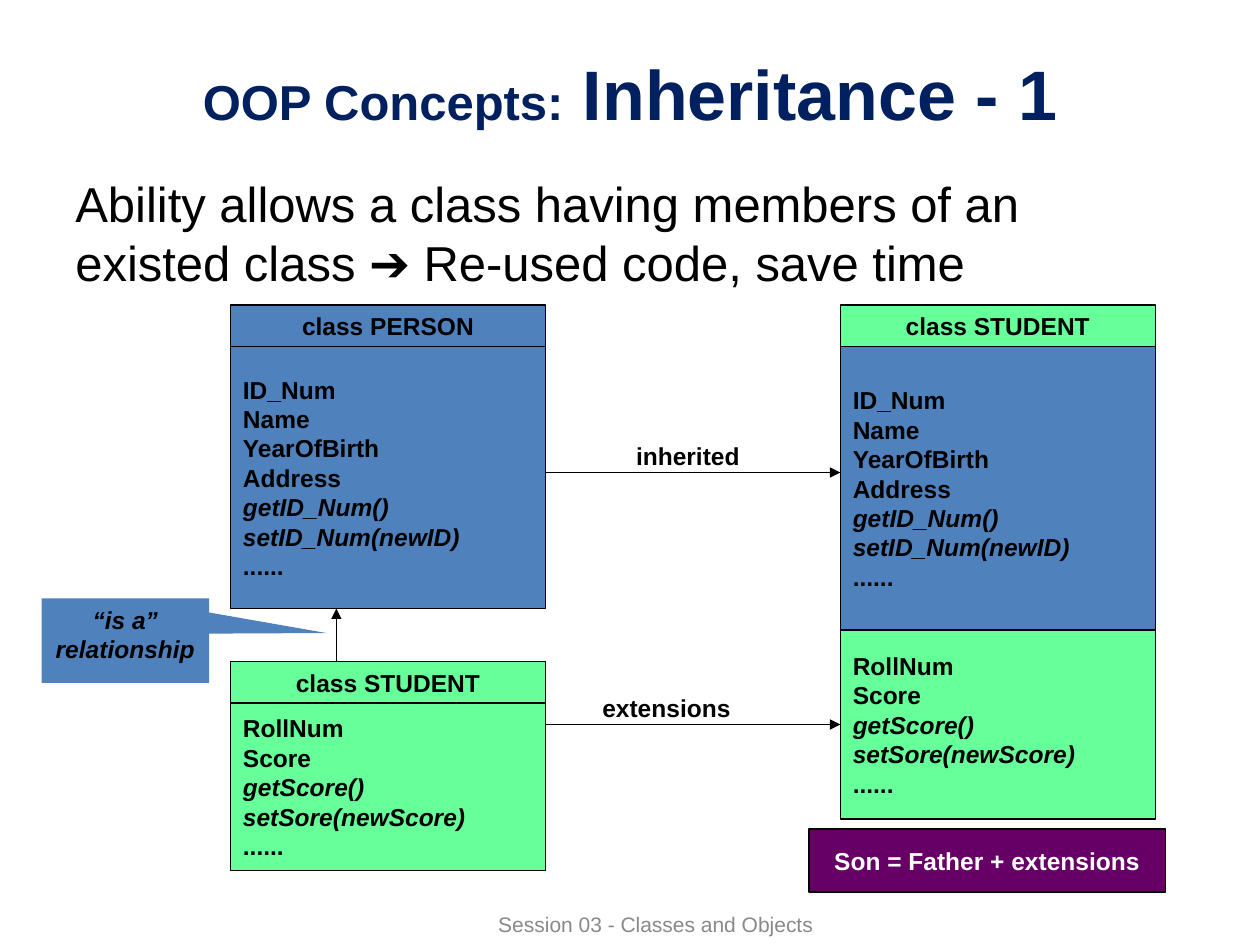
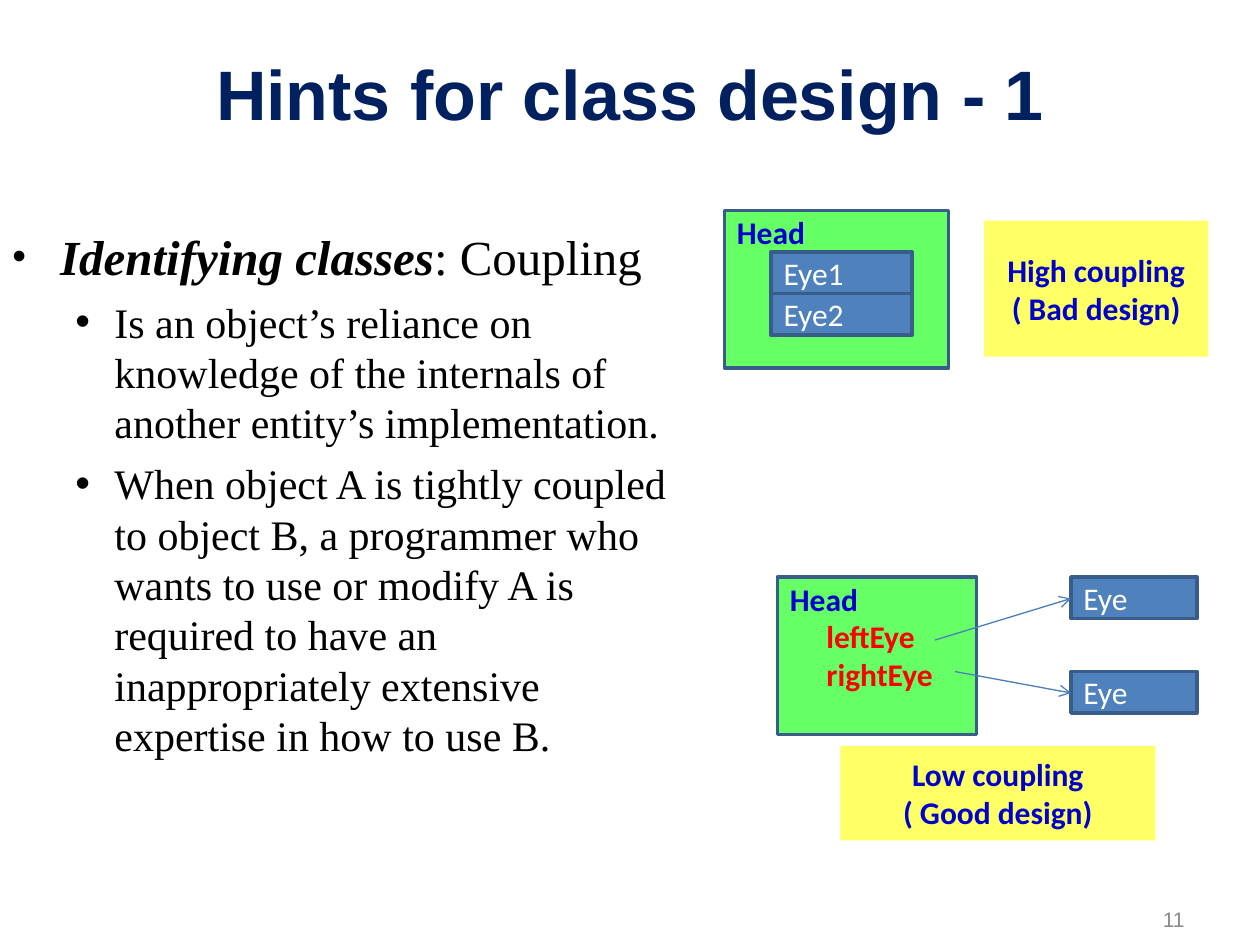
from lxml import etree
from pptx import Presentation
from pptx.dml.color import RGBColor
from pptx.enum.shapes import MSO_CONNECTOR, MSO_SHAPE as SHAPE
from pptx.enum.text import MSO_ANCHOR as ANCHOR, PP_ALIGN as ALIGN
from pptx.oxml.ns import qn
from pptx.util import Inches, Pt

NAVY = RGBColor(0x00, 0x20, 0x60)
BLUE = RGBColor(0x4F, 0x81, 0xBD)
EDGE_BLUE = RGBColor(0x38, 0x5D, 0x8A)
ARROW_BLUE = RGBColor(0x4A, 0x7E, 0xBB)
TEXT_BLUE = RGBColor(0x00, 0x00, 0xCC)
MINT = RGBColor(0x66, 0xFF, 0x99)
GREEN = RGBColor(0x66, 0xFF, 0x66)
YELLOW = RGBColor(0xFF, 0xFF, 0x66)
PURPLE = RGBColor(0x66, 0x00, 0x66)
RED = RGBColor(0xFF, 0x00, 0x00)
GREY = RGBColor(0x89, 0x89, 0x89)
BLACK = RGBColor(0x00, 0x00, 0x00)
WHITE = RGBColor(0xFF, 0xFF, 0xFF)

TITLE = dict(name="Arial", size=40, color=NAVY, bold=True)
LEAD = dict(name="Arial", size=28, color=BLACK)
FOOTER = dict(name="Arial", size=12, color=GREY)
UML = dict(name="Arial", size=14, color=BLACK, bold=True)
LIST = dict(name="Times New Roman", size=24, color=BLACK)
LABEL = dict(name="Calibri", size=18, color=TEXT_BLUE, bold=True)
EYE = dict(name="Calibri", size=18, color=WHITE)

PERSON_MEMBERS = ["ID_Num", "Name", "YearOfBirth", "Address",
                  "getID_Num()", "setID_Num(newID)", "......"]
STUDENT_MEMBERS = ["RollNum", "Score", "getScore()", "setSore(newScore)", "......"]


class Deck:
    def __init__(self):
        self.prs = Presentation()
        self.prs.slide_width, self.prs.slide_height = Inches(10), Inches(7.5)
        self.s = None

    def slide(self, *title_runs):
        self.s = self.prs.slides.add_slide(self.prs.slide_layouts[6])
        self.text((0.5, 0.3, 9, 0.87), [title_runs], TITLE, ALIGN.CENTER)

    def fill_text(self, sp, paragraphs, fmt, align=ALIGN.LEFT, anchor=ANCHOR.MIDDLE,
                  wrap=True):
        """Fill sp; a paragraph is a string or a sequence of (text, format changes)."""
        tf = sp.text_frame
        tf.word_wrap, tf.vertical_anchor = wrap, anchor
        for i, runs in enumerate(paragraphs):
            p = tf.add_paragraph() if i else tf.paragraphs[0]
            p.alignment = align
            for text, changes in [(runs, {})] if isinstance(runs, str) else runs:
                r = p.add_run()
                r.text = text
                for key, value in {**fmt, **changes}.items():
                    if key == "color":
                        r.font.color.rgb = value
                    else:
                        setattr(r.font, key, Pt(value) if key == "size" else value)
        return tf

    def text(self, box, paragraphs, fmt, align=ALIGN.LEFT, anchor=ANCHOR.MIDDLE):
        sp = self.s.shapes.add_textbox(*map(Inches, box))
        return self.fill_text(sp, paragraphs, fmt, align, anchor)

    def shape(self, box, fill, paragraphs, fmt, align=ALIGN.CENTER, line=None, weight=0.75,
              kind=SHAPE.RECTANGLE, anchor=ANCHOR.MIDDLE, wrap=True):
        sp = self.s.shapes.add_shape(kind, *map(Inches, box))
        sp.shadow.inherit = False
        for part, color in ((sp.fill, fill), (sp.line.fill, line)):
            if color is None:
                part.background()
            else:
                part.solid()
                part.fore_color.rgb = color
        if line is not None:
            sp.line.width = Pt(weight)
        self.fill_text(sp, paragraphs, fmt, align, anchor, wrap)
        return sp

    def arrow(self, start, end, color, head):
        cxn = self.s.shapes.add_connector(MSO_CONNECTOR.STRAIGHT, *map(Inches, start + end))
        cxn.line.color.rgb = color
        cxn.line.width = Pt(0.75)
        spPr = cxn._element.spPr
        etree.SubElement(spPr.find(qn("a:ln")), qn("a:tailEnd"), type=head)
        etree.SubElement(spPr, qn("a:effectLst"))

    def bullet(self, p, level, left, hang, before, percent):
        p.level, p.space_before = level, Pt(before)
        pPr = p._p.get_or_add_pPr()
        pPr.set("marL", str(Inches(left)))
        pPr.set("indent", str(-Inches(hang)))
        color = etree.SubElement(pPr, qn("a:buClr"))
        etree.SubElement(color, qn("a:srgbClr"), val=str(BLACK))
        etree.SubElement(pPr, qn("a:buSzPct"), val=str(percent * 1000))
        etree.SubElement(pPr, qn("a:buFont"), typeface="Arial")
        etree.SubElement(pPr, qn("a:buChar"), char="•")

    def members(self, left, top, height, fill, names):
        """Class compartment with its methods in italics."""
        rows = [[(name, dict(italic=name.endswith(")")))] for name in names]
        self.shape((left, top, 2.5, height), fill, rows, UML, ALIGN.LEFT, BLACK)

    def class_name(self, left, top, fill, name):
        self.shape((left, top, 2.5, 0.33), fill, [f"class {name}"], UML, line=BLACK)

    def arrow_label(self, box, text):
        self.shape(box, None, [text], UML, kind=SHAPE.OVAL, wrap=False)

    def head(self, box, *fields):
        rows = ["Head"] + [[(field, dict(color=RED))] for field in fields]
        tf = self.shape(box, GREEN, rows, LABEL, ALIGN.LEFT, EDGE_BLUE, 2,
                        anchor=ANCHOR.TOP).text_frame
        tf.margin_top = Inches(0.02)
        for p in tf.paragraphs[1:]:
            p._p.get_or_add_pPr().set("marL", str(Inches(0.29)))

    def eye(self, left, top, width, name):
        self.shape((left, top, width, 0.33), BLUE, [name], EYE, ALIGN.LEFT, EDGE_BLUE, 2)

    def verdict(self, box, *lines):
        self.shape(box, YELLOW, lines, LABEL)


def inheritance(deck):
    deck.slide(("OOP Concepts:", dict(size=28)), (" Inheritance - 1", {}))
    deck.text((2.83, 7.17, 4.75, 0.33), ["Session 03 - Classes and Objects"],
              FOOTER, ALIGN.CENTER)
    tf = deck.text((0.5, 1.33, 9, 1.17), ["Ability allows a class having members of an "
                   "existed class ➔ Re-used code, save time"], LEAD, anchor=ANCHOR.TOP)
    tf.paragraphs[0].space_before = Pt(7)

    left, right = 1.83, 6.67
    deck.members(left, 2.75, 2.08, BLUE, PERSON_MEMBERS)
    deck.class_name(left, 2.42, BLUE, "PERSON")
    deck.members(left, 5.58, 1.33, MINT, STUDENT_MEMBERS)
    deck.class_name(left, 5.25, MINT, "STUDENT")
    deck.arrow((2.67, 5.25), (2.67, 4.83), BLACK, "triangle")
    callout = deck.shape((0.33, 4.75, 1.33, 0.67), BLUE, ["“is a” relationship"],
                         {**UML, "italic": True}, kind=SHAPE.RECTANGULAR_CALLOUT,
                         anchor=ANCHOR.TOP)
    callout.adjustments[0], callout.adjustments[1] = 1.2, -0.09

    deck.members(right, 2.75, 2.25, BLUE, PERSON_MEMBERS)
    deck.class_name(right, 2.42, MINT, "STUDENT")
    deck.members(right, 5, 1.5, MINT, STUDENT_MEMBERS)
    deck.arrow_label((4.92, 3.08, 1.08, 1.08), "inherited")
    deck.arrow_label((4.58, 5.08, 1.42, 1.08), "extensions")
    for y in (3.75, 5.75):
        deck.arrow((left + 2.5, y), (right, y), BLACK, "triangle")
    deck.shape((6.42, 6.58, 2.83, 0.5), PURPLE, ["Son = Father + extensions"],
               {**UML, "color": WHITE}, line=BLACK)


def coupling(deck):
    deck.slide(("Hints for class design - 1", {}))
    tf = deck.text((0, 1.75, 5.5, 4.5), [
        [("Identifying classes", dict(size=28, bold=True, italic=True)),
         (": Coupling", dict(size=28))],
        "Is an object’s reliance on knowledge of the internals of another entity’s "
        "implementation.",
        "When object A is tightly coupled to object B, a programmer who wants to use or "
        "modify A is required to have an inappropriately extensive expertise in how to use B.",
    ], LIST, anchor=ANCHOR.TOP)
    topic, *points = tf.paragraphs
    deck.bullet(topic, 0, 0.38, 0.38, 7, 80)
    for p in points:
        deck.bullet(p, 1, 0.81, 0.31, 6, 100)

    deck.head((5.75, 1.67, 1.78, 1.25))
    for i in range(2):
        deck.eye(6.12, 2 + i * 0.33, 1.12, f"Eye{i + 1}")
    deck.verdict((7.81, 1.75, 1.78, 1.08), "High coupling", "( Bad design)")

    deck.head((6.17, 4.58, 1.58, 1.25), "leftEye", "rightEye")
    for top, start in ((4.58, (7.42, 5.08)), (5.33, (7.58, 5.33))):
        deck.eye(8.5, top, 1, "Eye")
        deck.arrow(start, (8.5, top + 0.17), ARROW_BLUE, "arrow")
    deck.verdict((6.67, 5.92, 2.5, 0.75), "Low coupling", "( Good design)")
    deck.text((8.33, 7.17, 1.17, 0.25), ["11"], FOOTER, ALIGN.RIGHT)


def main():
    deck = Deck()
    inheritance(deck)
    coupling(deck)
    deck.prs.save("out.pptx")


if __name__ == "__main__":
    main()
